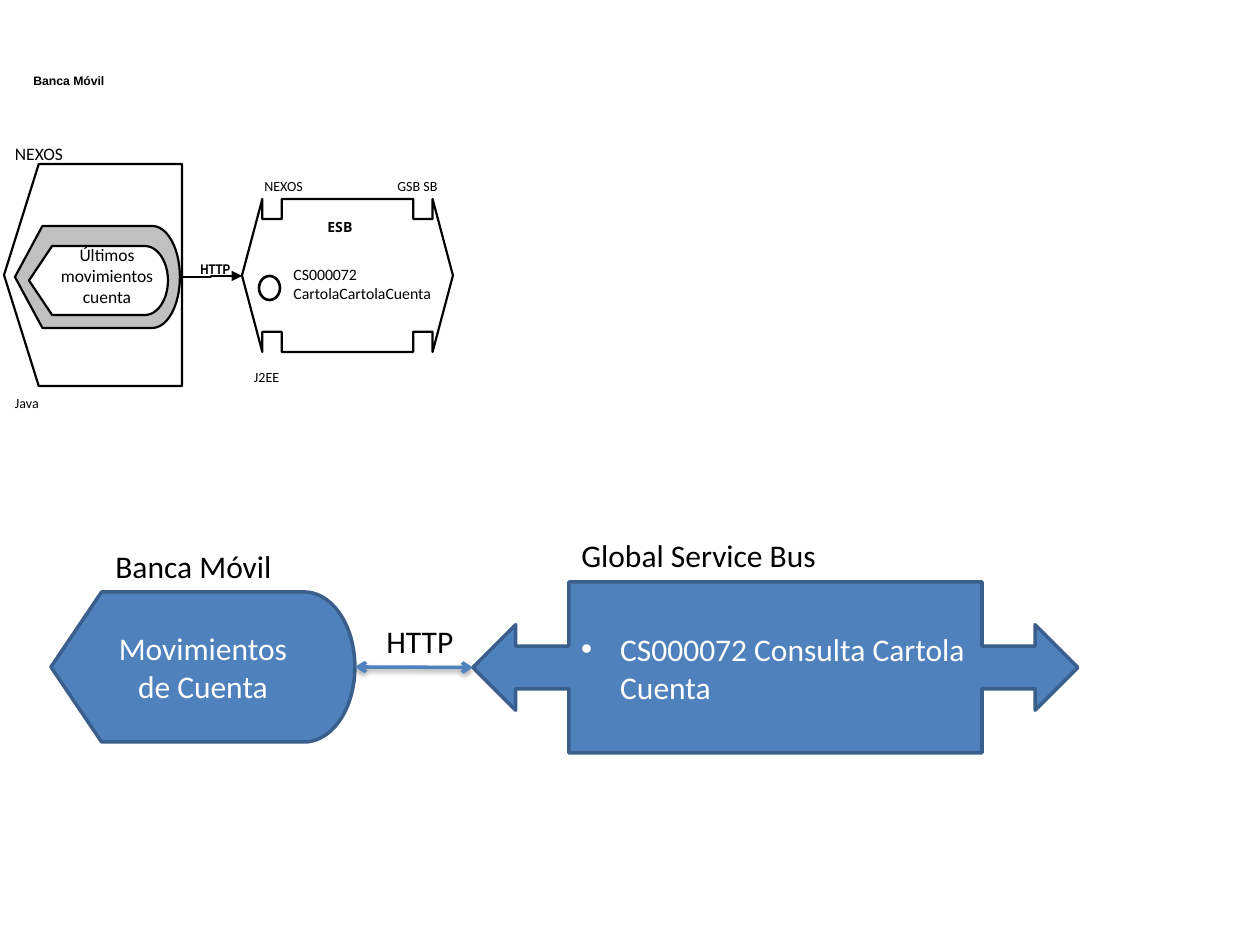
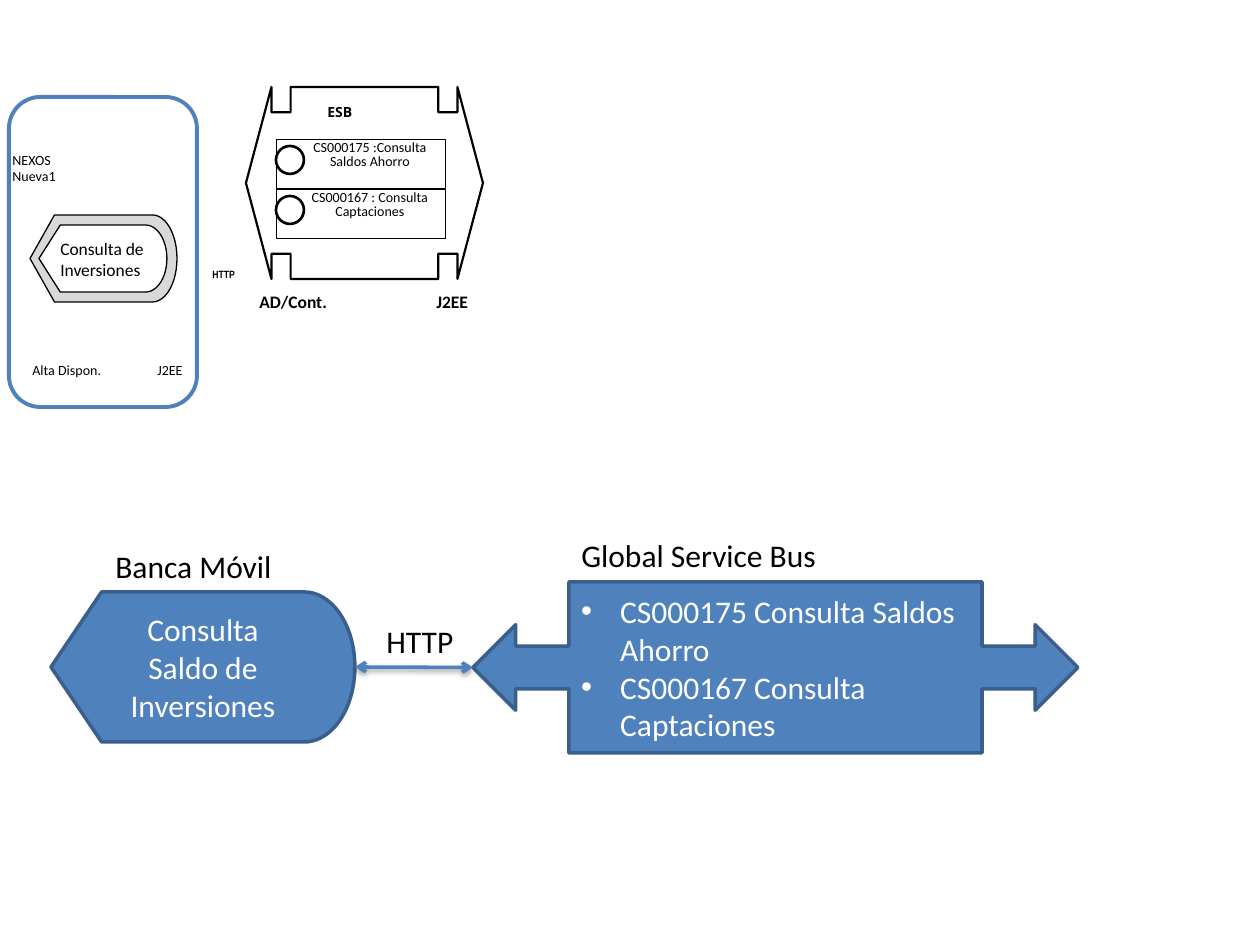
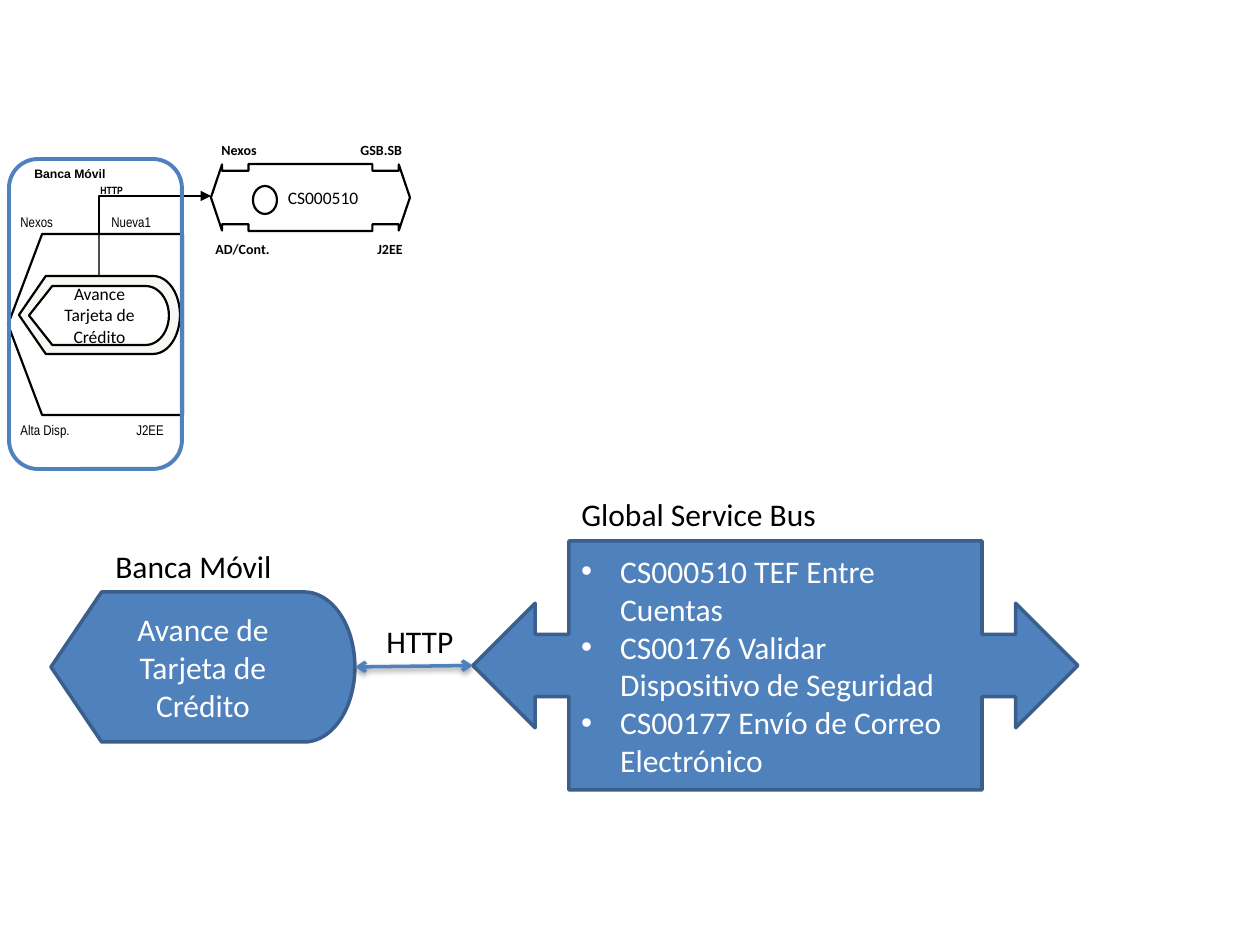
from dataclasses import dataclass

from lxml.etree import SubElement as Sub
from pptx import Presentation
from pptx.dml.color import RGBColor as Rgb
from pptx.enum.shapes import MSO_CONNECTOR as Conn, MSO_SHAPE as Kind
from pptx.enum.text import MSO_ANCHOR as Anchor, MSO_AUTO_SIZE as Fit, PP_ALIGN as Align
from pptx.oxml.ns import qn
from pptx.util import Pt

SCALE = 914400 / 126


@dataclass(frozen=True)
class Theme:
    """Colours, fonts, type sizes and line widths."""
    black: str = "000000"
    white: str = "FFFFFF"
    blue: str = "4F81BD"
    navy: str = "3A5F8C"
    gray: str = "C0C0C0"
    pale: str = "D9D9D9"
    cream: str = "F8F7F3"
    main: str = "Calibri"
    slim: str = "Arial Narrow"
    sans: str = "Arial"
    open: str = "Open Sans"
    tiny: int = 6
    mini: int = 7
    small: int = 8
    mid: int = 9
    body: int = 10
    large: int = 18
    hair: float = 0.25
    thin: float = 0.75
    pen: float = 1.25
    ring: float = 1.5
    bold: float = 2
    edge: float = 2.25


T = Theme()
PAD = (12.6, 6.3)
FLAT = (0, 6.3)
NONE = (0, 0)
WIDE = (0.737, 0.513, 0.133, 0.623)
LOW = (0.798, 0.493, 0.166, 0.623)
CALL = (0.25, 0.25, 0.25, 0.683)


@dataclass(frozen=True)
class Box:
    """A region in pixels."""
    x: float
    y: float
    w: float
    h: float

    def sub(self, x, y, w, h):
        """Return a box placed from this one's corner."""
        return Box(self.x + x, self.y + y, w, h)

    def emu(self):
        """Return left, top, width and height in EMU."""
        return [px(v) for v in (self.x, self.y, self.w, self.h)]


def px(n):
    """Turn pixels into EMU."""
    return round(n * SCALE)


def write(par, words, size, font=T.main, color=T.black, bold=False):
    """Add one formatted run to a paragraph."""
    run = par.add_run()
    run.text = words
    run.font.size, run.font.name, run.font.bold = Pt(size), font, bold
    run.font.color.rgb = Rgb.from_string(color)


def frame(shape, pad=PAD, wrap=True, anchor=Anchor.TOP):
    """Set up the text frame of a shape and return it."""
    tf = shape.text_frame
    tf.word_wrap, tf.vertical_anchor = wrap, anchor
    tf.margin_left = tf.margin_right = px(pad[0])
    tf.margin_top = tf.margin_bottom = px(pad[1])
    return tf


def text(slide, box, words, size=T.small, font=T.main, bold=False, align=Align.LEFT,
         pad=PAD, wrap=True, anchor=Anchor.TOP, tab=0, lead=None):
    """Add a text box; tab places the second word of a pair."""
    shape = slide.shapes.add_textbox(*box.emu())
    tf = frame(shape, pad, wrap, anchor)
    if anchor == Anchor.TOP:
        tf.auto_size = Fit.SHAPE_TO_FIT_TEXT
    par = tf.paragraphs[0]
    par.alignment = align
    if lead:
        par.line_spacing = lead
    for i, line in enumerate(words.split("\n")):
        if i:
            par.add_line_break()
        write(par, line, size, font, bold=bold)
    if tab:
        stops = Sub(par._p.get_or_add_pPr(), qn("a:tabLst"))
        Sub(stops, qn("a:tab"), pos=str(px(tab)), algn="l")


def draw(slide, kind, box, fill=None, line=T.black, width=T.pen, adj=()):
    """Add a preset shape without shadow."""
    shape = slide.shapes.add_shape(kind, *box.emu())
    shape.shadow.inherit = False
    for i, val in enumerate(adj):
        shape.adjustments[i] = val
    if fill:
        shape.fill.solid()
        shape.fill.fore_color.rgb = Rgb.from_string(fill)
    else:
        shape.fill.background()
    if line:
        shape.line.color.rgb = Rgb.from_string(line)
        shape.line.width = Pt(width)
    else:
        shape.line.fill.background()
    return shape


def wire(slide, kind, box, start, end, color=T.black, width=T.thin,
         head=None, tail="triangle", glow=False):
    """Add a connector between two points of the box."""
    ends = [px(v) for x, y in (start, end) for v in (box.x + x, box.y + y)]
    con = slide.shapes.add_connector(kind, *ends)
    con.line.color.rgb = Rgb.from_string(color)
    con.line.width = Pt(width)
    ln = con.line._get_or_add_ln()
    for tag, tip in (("a:headEnd", head), ("a:tailEnd", tail)):
        if tip:
            Sub(ln, qn(tag), type=tip)
    fx = Sub(con._element.spPr, qn("a:effectLst"))
    if glow:
        shade = Sub(fx, qn("a:outerShdw"), blurRad="40000", dist="20000",
                    dir="5400000", rotWithShape="0")
        tone = Sub(shade, qn("a:srgbClr"), val=T.black)
        Sub(tone, qn("a:alpha"), val="38000")
    return con


def bus(slide, box, fill=T.white, adj=WIDE):
    """Draw an outlined service bus."""
    draw(slide, Kind.LEFT_RIGHT_ARROW_CALLOUT, box, fill, adj=adj)


def ring(slide, box, width=T.ring):
    """Draw a service marker."""
    draw(slide, Kind.OVAL, box, T.white, width=width)


def app(slide, box, fill, width=T.pen):
    """Draw an application outline."""
    return draw(slide, Kind.FLOWCHART_DISPLAY, box, fill, width=width)


def plate(slide, box, fill=None):
    """Draw a server pentagon that points left."""
    shape = draw(slide, Kind.PENTAGON, box, fill, adj=[0.195])
    shape.rotation = 180
    return shape


def card(slide, box, fill=None):
    """Draw a blue rounded server frame."""
    draw(slide, Kind.ROUNDED_RECTANGLE, box, fill, T.blue, T.edge, [0.167])


def http(slide, box, size=T.tiny):
    """Label a link with its protocol."""
    text(slide, box, "HTTP", size, T.slim, True)


def owner(slide, box):
    """Name the channel above its server."""
    text(slide, box, "Banca Móvil", T.mini, T.sans, True)


def moves(slide, box):
    """Sketch the account movements service."""
    wire(slide, Conn.ELBOW, box, (180, 217), (242, 216), width=1)
    text(slide, box.sub(252, 111, 202, 30), "NEXOS\tGSB SB", tab=133)
    bus(slide, box.sub(242, 139, 211, 153))
    text(slide, box.sub(315, 152, 59, 29), "ESB", font=T.open, bold=True)
    http(slide, box.sub(188, 194, 64, 30), T.small)
    text(slide, box.sub(281, 201, 169, 45), "CS000072 CartolaCartolaCuenta",
         T.mid, anchor=Anchor.MIDDLE)
    plate(slide, box.sub(4, 104, 178, 222))
    owner(slide, box.sub(21, 7, 111, 33))
    app(slide, box.sub(15, 166, 165, 102), T.gray)
    app(slide, box.sub(29, 186, 139, 69), T.white)
    text(slide, box.sub(39, 178, 136, 76), "Últimos movimientos cuenta",
         T.body, align=Align.CENTER)
    text(slide, box.sub(15, 77, 173, 34), "NEXOS", T.body, pad=FLAT)
    text(slide, box.sub(15, 328, 175, 30), "Java", pad=FLAT)
    text(slide, box.sub(254, 302, 197, 30), "J2EE", pad=FLAT)
    ring(slide, box.sub(259, 216, 21, 24))


def funds(slide, box):
    """Sketch the investments service."""
    card(slide, box.sub(9, 17, 188, 310), T.white)
    bus(slide, box.sub(246, 7, 237, 192))
    http(slide, box.sub(200, 182, 88, 25))
    app(slide, box.sub(30, 135, 147, 87), T.pale, T.thin)
    inner = app(slide, box.sub(39, 145, 128, 67), T.white, T.thin)
    par = frame(inner, NONE, anchor=Anchor.MIDDLE).paragraphs[0]
    par.alignment = Align.LEFT
    write(par, "Consulta de Inversiones", T.body)
    text(slide, box.sub(0, 65, 197, 47), "NEXOS\nNueva1")
    text(slide, box.sub(20, 275, 188, 30), "Alta Dispon.\tJ2EE", tab=125)
    text(slide, box.sub(247, 205, 236, 34), "AD/Cont.\tJ2EE", T.body, bold=True, tab=177)
    calls = ("CS000175 :Consulta Saldos Ahorro", "CS000167 : Consulta Captaciones")
    for i, call in enumerate(calls):
        row = box.sub(276, 59 + 50 * i, 169, 49)
        text(slide, row.sub(13, -3, 162, 40), call, align=Align.CENTER, lead=0.8)
        draw(slide, Kind.RECTANGLE, row, width=T.hair)
        ring(slide, row.sub(0, 7, 28, 28))
    text(slide, box.sub(315, 17, 88, 30), "ESB", font=T.open, bold=True)


def loan(slide, box):
    """Sketch the card advance service."""
    bus(slide, box.sub(211, 34, 199, 67), None, LOW)
    text(slide, box.sub(252, 51, 142, 34), "CS000510", T.body, align=Align.CENTER)
    ring(slide, box.sub(253, 56, 24, 28), T.pen)
    link = wire(slide, Conn.ELBOW, box, (195, 162), (115, 50))
    prop = link._element.spPr
    prop.find(qn("a:xfrm")).set("rot", "5400000")
    prop.find(qn("a:prstGeom")).set("prst", "bentConnector2")
    base = plate(slide, box.sub(8, 104, 175, 181), T.white)
    tone = base._element.spPr.find(qn("a:solidFill"))[0]
    Sub(tone, qn("a:alpha"), val="30000")
    owner(slide, box.sub(22, 30, 108, 26))
    app(slide, box.sub(19, 146, 161, 78), T.cream)
    draw(slide, Kind.FLOWCHART_DISPLAY, box.sub(33, 171, 136, 45), T.white, None)
    text(slide, box.sub(8, 77, 184, 30), "Nexos\tNueva1", font=T.slim, tab=91)
    text(slide, box.sub(8, 285, 180, 30), "Alta Disp.\tJ2EE", font=T.slim, tab=116)
    app(slide, box.sub(29, 156, 140, 59), T.white)
    text(slide, box.sub(49, 156, 101, 58), "Avance Tarjeta de Crédito", T.body,
         align=Align.CENTER, pad=NONE, anchor=Anchor.MIDDLE)
    text(slide, box.sub(209, 5, 208, 30), "Nexos\tGSB.SB", bold=True, tab=139)
    text(slide, box.sub(203, 104, 215, 30), "AD/Cont.\tJ2EE", bold=True, tab=162)
    http(slide, box.sub(88, 48, 59, 25))
    card(slide, box.sub(9, 29, 173, 310))


def flow(slide, box, name, calls, top, high):
    """Draw the channel, its link and the bus with its list of services."""
    call = draw(slide, Kind.LEFT_RIGHT_ARROW_CALLOUT, box.sub(422, top, 605, high),
                T.blue, T.navy, T.bold, CALL)
    tf = frame(call, anchor=Anchor.MIDDLE)
    for i, words in enumerate(calls):
        par = tf.add_paragraph() if i else tf.paragraphs[0]
        par.alignment = Align.LEFT
        write(par, words, T.large, color=T.white)
        prop = par._p.get_or_add_pPr()
        prop.set("marL", str(px(39)))
        prop.set("indent", str(px(-39)))
        Sub(prop, qn("a:buFont"), typeface=T.sans)
        Sub(prop, qn("a:buChar"), char="•")
    text(slide, box.sub(518, top - 52, 280, 50), "Global Service Bus", T.large)
    front = draw(slide, Kind.FLOWCHART_DISPLAY, box.sub(0, 112, 304, 150),
                 T.blue, T.navy, T.bold)
    par = frame(front, anchor=Anchor.MIDDLE).paragraphs[0]
    par.alignment = Align.CENTER
    write(par, name, T.large, color=T.white)
    text(slide, box.sub(323, 136, 93, 50), "HTTP", T.large, wrap=False)
    text(slide, box.sub(52, 61, 184, 50), "Banca Móvil", T.large, wrap=False)
    wire(slide, Conn.STRAIGHT, box, (304, 187), (422, top + high / 2), T.blue, T.bold,
         "arrow", "arrow", True)


def main():
    """Build and save the deck."""
    deck = Presentation()
    deck.slide_width, deck.slide_height = px(1260), px(945)
    pages = (
        (moves, Box(0, 60, 460, 360), "Movimientos de Cuenta",
         ["CS000072 Consulta Cartola Cuenta"], 102, 171),
        (funds, Box(0, 80, 490, 330), "Consulta Saldo de Inversiones",
         ["CS000175 Consulta Saldos Ahorro", "CS000167 Consulta Captaciones"], 102, 171),
        (loan, Box(0, 130, 420, 340), "Avance de Tarjeta de Crédito",
         ["CS000510 TEF Entre Cuentas", "CS00176 Validar Dispositivo de Seguridad",
          "CS00177 Envío de Correo Electrónico"], 61, 249),
    )
    for sketch, box, name, calls, top, high in pages:
        slide = deck.slides.add_slide(deck.slide_layouts[6])
        sketch(slide, box)
        flow(slide, Box(51, 480, 1030, 320), name, calls, top, high)
    deck.save("out.pptx")


main()
